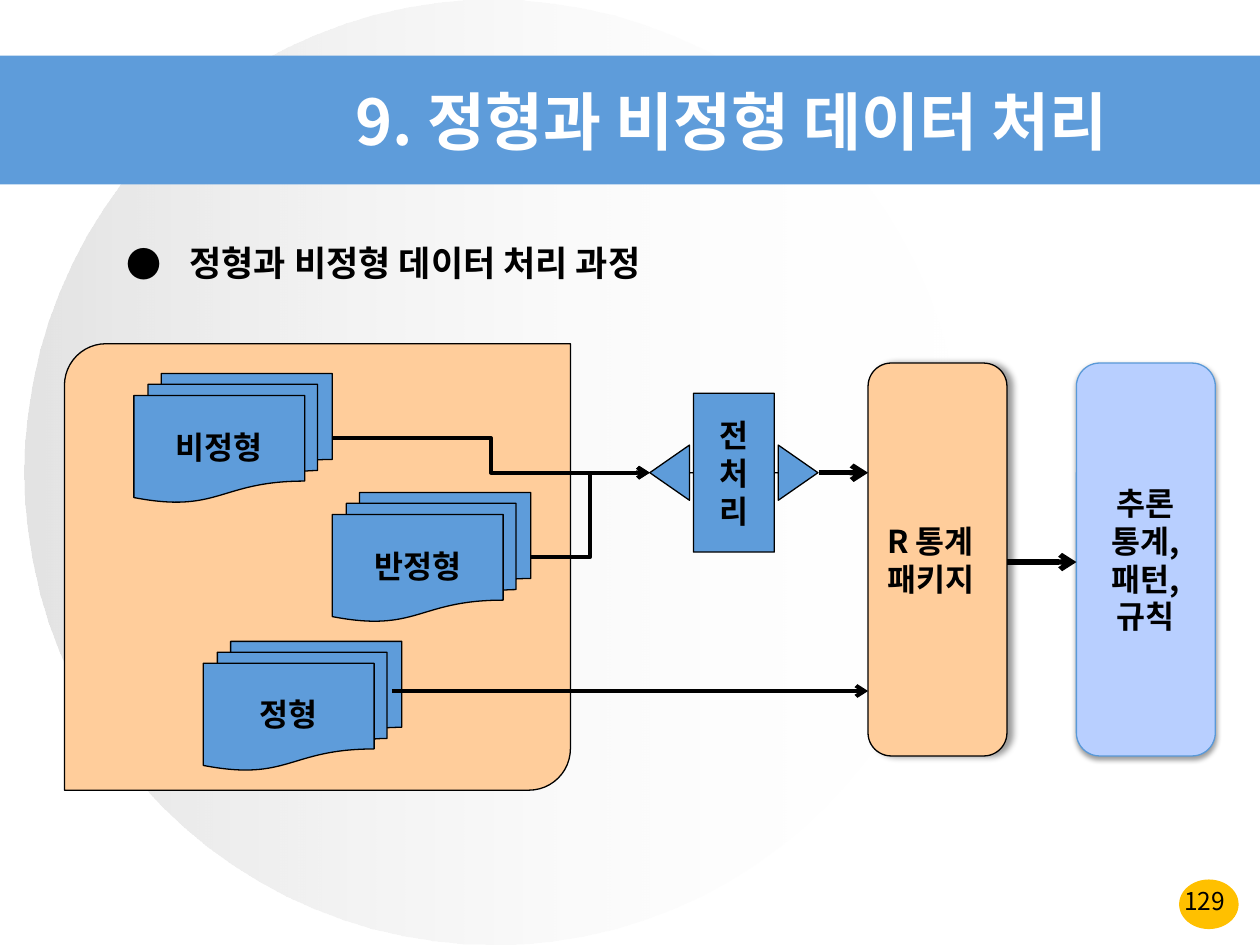
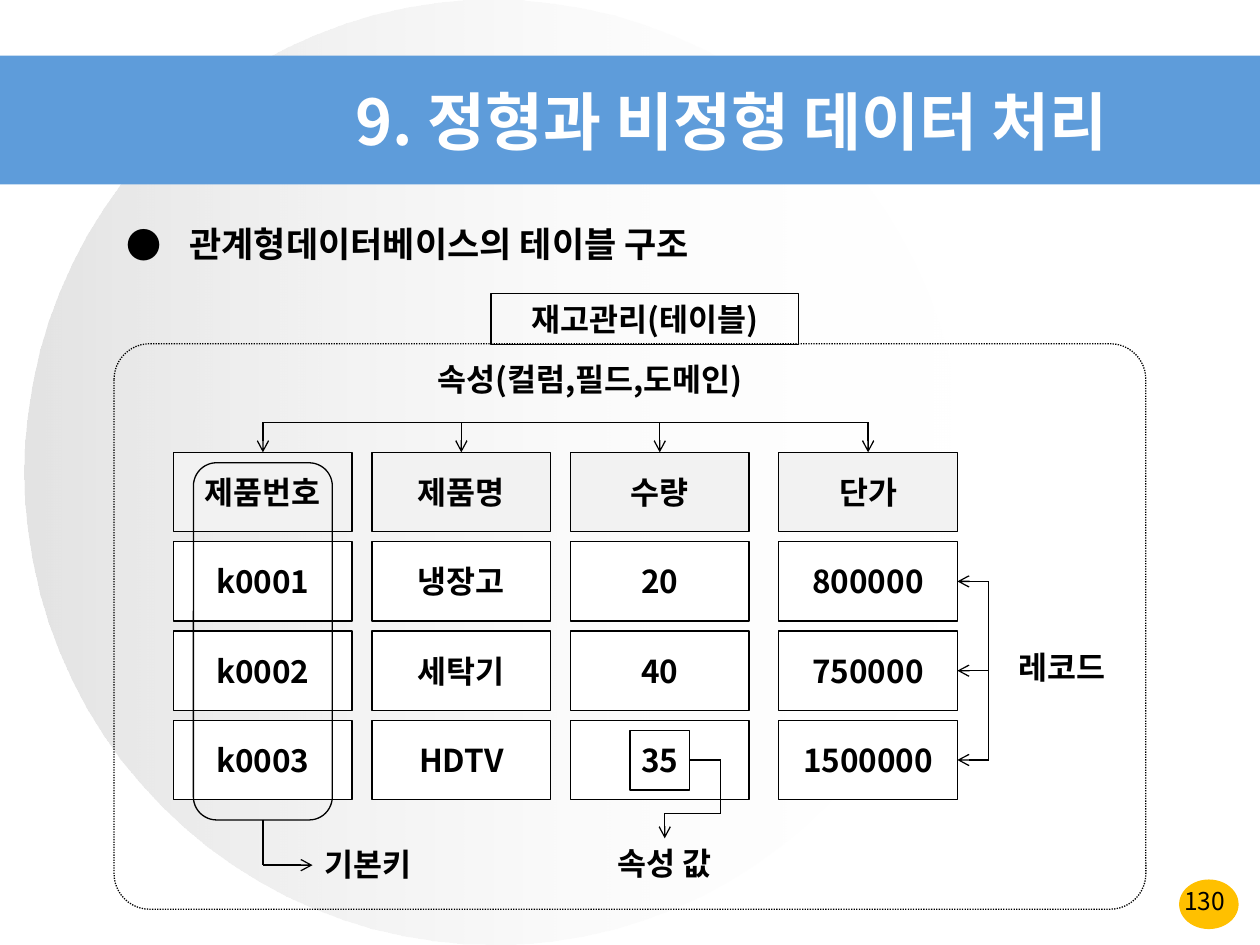
"""Build two slides on processing structured and unstructured data."""
from itertools import pairwise

from lxml import etree
from pptx import Presentation
from pptx.dml.color import RGBColor
from pptx.enum.dml import MSO_LINE
from pptx.enum.shapes import MSO_CONNECTOR, MSO_SHAPE
from pptx.enum.text import MSO_ANCHOR, PP_ALIGN
from pptx.oxml.ns import qn
from pptx.util import Cm, Pt

BLACK = RGBColor(0x00, 0x00, 0x00)
WHITE = RGBColor(0xFF, 0xFF, 0xFF)
SILVER = RGBColor(0xC0, 0xC0, 0xC0)
HEADER_GREY = RGBColor(0xF2, 0xF2, 0xF2)
BLUE = RGBColor(0x5E, 0x9C, 0xDA)
EDGE_BLUE = RGBColor(0x59, 0x99, 0xD8)
PALE_BLUE = RGBColor(0xB8, 0xCF, 0xFF)
PEACH = RGBColor(0xFF, 0xCD, 0x9B)
AMBER = RGBColor(0xFF, 0xC0, 0x00)

FONT = "Noto Sans CJK KR"
TITLE = "9. 정형과 비정형 데이터 처리"
LEFT, CENTER = PP_ALIGN.LEFT, PP_ALIGN.CENTER
TOP, MIDDLE = MSO_ANCHOR.TOP, MSO_ANCHOR.MIDDLE
RECT, ROUND_RECT, OVAL = MSO_SHAPE.RECTANGLE, MSO_SHAPE.ROUNDED_RECTANGLE, MSO_SHAPE.OVAL
DIAGONAL_RECT = MSO_SHAPE.ROUND_2_DIAG_RECTANGLE
DOCUMENTS = MSO_SHAPE.FLOWCHART_MULTIDOCUMENT
CALLOUT = MSO_SHAPE.LEFT_RIGHT_ARROW_CALLOUT
STRAIGHT, ELBOW = MSO_CONNECTOR.STRAIGHT, MSO_CONNECTOR.ELBOW
DOTTED = MSO_LINE.ROUND_DOT


def add_xml(parent, tag, **attributes):
    """Append a DrawingML element with the given attributes."""
    return etree.SubElement(parent, qn(tag), {k: str(v) for k, v in attributes.items()})


def style_paragraph(p, size=18, bold=True, color=BLACK, align=CENTER):
    """Format a whole paragraph."""
    p.alignment = align
    p.font.size = Pt(size)
    p.font.bold = bold
    p.font.color.rgb = color
    p.font.name = FONT
    add_xml(p.font._element, "a:ea", typeface=FONT)


def write(tf, lines, anchor=MIDDLE, **style):
    """Fill a text frame with one paragraph per line."""
    tf.word_wrap = True
    tf.vertical_anchor = anchor
    for i, line in enumerate(lines):
        p = tf.add_paragraph() if i else tf.paragraphs[0]
        p.text = line
        style_paragraph(p, **style)


def add_box(slide, kind, box, lines=(), fill=None, line=BLACK, adjust=(), **style):
    """Add a preset shape with optional fill, outline and text."""
    sp = slide.shapes.add_shape(kind, *map(Cm, box))
    sp.shadow.inherit = False
    for i, value in enumerate(adjust):
        sp.adjustments[i] = value
    if fill is None:
        sp.fill.background()
    else:
        sp.fill.solid()
        sp.fill.fore_color.rgb = fill
    if line is None:
        sp.line.fill.background()
    else:
        sp.line.color.rgb = line
        sp.line.width = Pt(0.75)
    if lines:
        write(sp.text_frame, lines, **style)
    return sp


def add_label(slide, box, text, **style):
    """Add a plain text box."""
    tf = slide.shapes.add_textbox(*map(Cm, box)).text_frame
    write(tf, [text], anchor=TOP, **style)


def add_line(slide, start, end, width=0.75, arrow=True, kind=STRAIGHT):
    """Add a black connector, with an arrowhead at its end if wanted."""
    cxn = slide.shapes.add_connector(kind, *map(Cm, start + end))
    cxn.line.color.rgb = BLACK
    cxn.line.width = Pt(width)
    if arrow:
        add_xml(cxn.line._get_or_add_ln(), "a:tailEnd", type="arrow")
    add_xml(cxn._element.spPr, "a:effectLst")


def add_route(slide, *points):
    """Join points by straight lines, with an arrowhead at the last one."""
    for start, end in pairwise(points):
        add_line(slide, start, end, arrow=end == points[-1])


def add_shadow(sp, alpha, blur, distance, angle):
    """Give a shape a soft black outer shadow."""
    effects = sp._element.spPr.find(qn("a:effectLst"))
    shadow = add_xml(effects, "a:outerShdw", blurRad=Pt(blur), dist=Pt(distance),
                     dir=angle * 60000, algn="ctr", rotWithShape=0)
    color = add_xml(shadow, "a:srgbClr", val=BLACK)
    add_xml(color, "a:alpha", val=alpha * 1000)


def add_bullet_heading(slide, top, text):
    """Add the bulleted heading below the title band."""
    tf = slide.shapes.add_textbox(*map(Cm, (2.3, top, 12.5, 1.4))).text_frame
    tf.word_wrap = False
    p = tf.paragraphs[0]
    p.text = text
    p.line_spacing = 1.5
    pPr = p._p.get_or_add_pPr()
    pPr.set("marL", str(Cm(1.27)))
    pPr.set("indent", str(-Cm(1.27)))
    add_xml(pPr, "a:buFont", typeface=FONT)
    add_xml(pPr, "a:buChar", char="●")
    style_paragraph(p, size=20, align=LEFT)


def decorate_layout(layout, slide):
    """Draw the shared background and move it to the layout."""
    dot = add_box(slide, OVAL, (23.77, 17.73, 1.2, 1), fill=AMBER, line=None)
    disc = add_box(slide, OVAL, (0.5, 0, 18.9, 19.05), line=None)
    band = add_box(slide, RECT, (0, 1.12, 25.4, 2.6), fill=BLUE, line=None)
    disc.fill.gradient()
    disc.fill.gradient_angle = 0
    for stop, color, alpha in zip(disc.fill.gradient_stops, (SILVER, WHITE), (44, 0)):
        stop.color.rgb = color
        add_xml(stop._gs.find(qn("a:srgbClr")), "a:alpha", val=alpha * 1000)
    for i, sp in enumerate((dot, disc, band)):
        sp._element.nvSpPr.cNvPr.set("id", str(100 + i))
        layout.shapes._spTree.insert(2 + i, sp._element)


def add_slide(prs, layout, number, heading, heading_top):
    """Add a slide with title, page number and bulleted heading."""
    slide = prs.slides.add_slide(layout)
    title = slide.shapes.title
    title.left, title.top, title.width, title.height = map(Cm, (4.1, 1.47, 21.3, 1.9))
    write(title.text_frame, [TITLE], size=36, color=WHITE)
    add_label(slide, (23.17, 17.73, 2.23, 0.75), str(number), size=14, bold=False)
    add_bullet_heading(slide, heading_top, heading)
    return slide


def draw_process(slide):
    """Draw the flow from data sources to statistical results."""
    add_box(slide, DIAGONAL_RECT, (1.3, 6.93, 10.2, 9), fill=PEACH, adjust=(0.093, 0))
    for left, top, name in ((2.7, 7.53, "비정형"), (4.1, 12.93, "정형"), (6.7, 9.93, "반정형")):
        add_box(slide, DOCUMENTS, (left, top, 4, 2.6), [name], fill=BLUE)
    add_box(slide, CALLOUT, (13.1, 7.93, 3.39, 3.2), ["전처리"], fill=BLUE,
            adjust=(0, 0.174, 0.25, 0.481))
    for start in ((10.7, 11.23), (6.7, 8.83)):
        add_line(slide, start, (13.1, 9.53), 2.25, kind=ELBOW)
    package = add_box(slide, ROUND_RECT, (17.5, 7.32, 2.8, 7.92), ["R 통계", "패키지"],
                      fill=PEACH, align=LEFT)
    add_shadow(package, 40, 4, 3, 0)
    result = add_box(slide, ROUND_RECT, (21.7, 7.32, 2.8, 7.92), ["추론", "통계,\v패턴,규칙"],
                     fill=PALE_BLUE, line=EDGE_BLUE)
    add_shadow(result, 38, 3.1, 1.6, 90)
    add_line(slide, (7.9, 13.93), (17.5, 13.93), 2.25)
    add_line(slide, (16.5, 9.53), (17.5, 9.53), 3)
    add_line(slide, (20.3, 11.33), (21.7, 11.33), 3)


def draw_table_structure(slide):
    """Draw the parts of a relational database table."""
    columns = {
        3.5: ("제품번호", "k0001", "k0002", "k0003"),
        7.5: ("제품명", "냉장고", "세탁기", "HDTV"),
        11.5: ("수량", "20", "40", "35"),
        15.7: ("단가", "800000", "750000", "1500000"),
    }
    grid_top, row_step, cell_width, cell_height = 9.12, 1.8, 3.6, 1.6
    row_middles = [grid_top + row_step * i + cell_height / 2 for i in range(4)]
    column_middles = [left + cell_width / 2 for left in columns]

    add_box(slide, ROUND_RECT, (2.3, 6.93, 20.8, 11.4), adjust=(0.063,)).line.dash_style = DOTTED
    for left, values in columns.items():
        for i, value in enumerate(values):
            add_box(slide, RECT, (left, grid_top + row_step * i, cell_width, cell_height),
                    [value], fill=WHITE if i else HEADER_GREY)

    bar_y = 8.51
    add_line(slide, (column_middles[0], bar_y), (column_middles[-1], bar_y), arrow=False)
    for x in column_middles:
        add_line(slide, (x, bar_y), (x, grid_top))

    bracket_x, grid_right = 19.93, 19.3
    add_line(slide, (bracket_x, row_middles[1]), (bracket_x, row_middles[-1]), arrow=False)
    for y in row_middles[1:]:
        add_line(slide, (bracket_x, y), (grid_right, y))

    add_box(slide, RECT, (12.7, 14.73, 1.2, 1.2))
    add_route(slide, (13.9, 15.32), (14.53, 15.32), (14.53, 16.4), (13.4, 16.4), (13.4, 16.9))
    add_box(slide, ROUND_RECT, (3.9, 9.33, 2.8, 7.2))
    add_route(slide, (5.3, 16.53), (5.3, 17.44), (6.3, 17.44))

    add_box(slide, RECT, (9.9, 5.92, 6.2, 1.02), ["재고관리(테이블)"], anchor=TOP)
    add_label(slide, (7.7, 7.13, 8.4, 1.02), "속성(컬럼,필드,도메인)")
    add_label(slide, (20.1, 12.93, 2.6, 1.02), "레코드")
    add_label(slide, (11.7, 16.9, 3.4, 1.02), "속성 값")
    add_label(slide, (6.3, 16.92, 3.4, 1.02), "기본키", align=LEFT)


def main():
    """Build and save the presentation."""
    prs = Presentation()
    prs.slide_width, prs.slide_height = Cm(25.4), Cm(19.05)
    layout = prs.slide_layouts[5]
    process = add_slide(prs, layout, 129, "정형과 비정형 데이터 처리 과정", 4.32)
    decorate_layout(layout, process)
    draw_process(process)
    structure = add_slide(prs, layout, 130, "관계형데이터베이스의 테이블 구조", 3.94)
    draw_table_structure(structure)
    prs.save("out.pptx")


if __name__ == "__main__":
    main()
